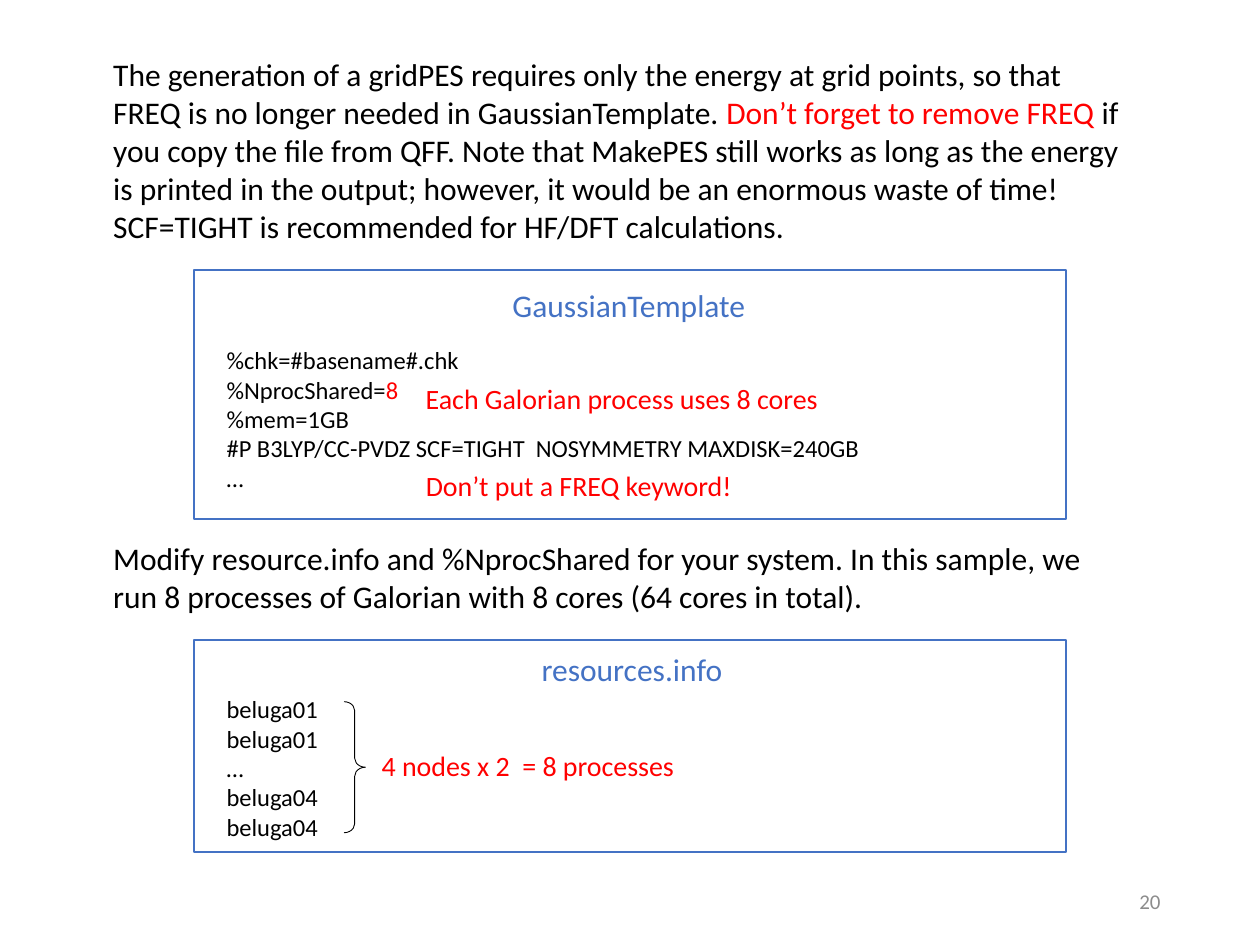
from pptx import Presentation
from pptx.dml.color import RGBColor
from pptx.enum.shapes import MSO_SHAPE
from pptx.enum.text import MSO_ANCHOR, MSO_AUTO_SIZE, PP_ALIGN
from pptx.util import Pt

HUES = {"ink": "000000", "red": "FF0000", "blue": "4472C4", "gray": "8C8C8C"}
BODY = {"size": Pt(18), "name": "Calibri"}
CODE = {"size": Pt(14), "name": "Calibri"}
NOTE = {"size": Pt(16), "name": "Calibri"}
PAGE = {"size": Pt(12), "name": "Calibri"}


def color(key):
    return RGBColor.from_string(HUES[key])


def add_text(slide, area, lines, font, hue="ink", wrap=False):
    """Add a text box; a line is a string or a list of (text, hue) runs."""
    frame = slide.shapes.add_textbox(*map(Pt, area)).text_frame
    frame.word_wrap = wrap
    frame.auto_size = MSO_AUTO_SIZE.SHAPE_TO_FIT_TEXT
    for i, line in enumerate(lines):
        para = frame.add_paragraph() if i else frame.paragraphs[0]
        runs = [(line, hue)] if isinstance(line, str) else line
        for text, tint in runs:
            run = para.add_run()
            run.text = text
            for key, value in font.items():
                setattr(run.font, key, value)
            run.font.color.rgb = color(tint)
    return frame


def add_outline(slide, kind, area, hue, width):
    shape = slide.shapes.add_shape(kind, *map(Pt, area))
    shape.shadow.inherit = False
    shape.fill.background()
    shape.line.color.rgb = color(hue)
    shape.line.width = Pt(width)
    return shape


def add_panel(slide, top, height):
    add_outline(slide, MSO_SHAPE.RECTANGLE, (110.9, top, 498.2, height), "blue", 1)


def add_template(slide):
    add_panel(slide, 154.1, 142.6)
    add_text(slide, (285.8, 159.8, 149, 29), ["GaussianTemplate"], BODY, "blue")
    add_text(slide, (122.4, 193.7, 379.4, 92.2), [
        "%chk=#basename#.chk",
        [("%NprocShared=", "ink"), ("8", "red")],
        "%mem=1GB",
        "#P B3LYP/CC-PVDZ SCF=TIGHT  NOSYMMETRY MAXDISK=240GB",
        "…",
    ], CODE)
    add_text(slide, (236.2, 214.6, 244.8, 26.6),
             ["Each Galorian process uses 8 cores"], NOTE, "red")
    add_text(slide, (236.2, 264.2, 195.8, 26.6),
             ["Don’t put a FREQ keyword!"], NOTE, "red")


def add_resources(slide):
    add_panel(slide, 365.8, 121)
    add_text(slide, (302.4, 367.9, 118.8, 29), ["resources.info"], BODY, "blue")
    add_text(slide, (122.4, 393.1, 67.7, 92.2),
             ["beluga01", "beluga01", "…", "beluga04", "beluga04"], CODE)
    brace = add_outline(slide, MSO_SHAPE.RIGHT_BRACE,
                        (196.6, 401, 12.2, 74.9), "ink", 0.5)
    brace.adjustments[0] = 0.42
    add_text(slide, (211, 424.1, 191.5, 26.6),
             ["4 nodes x 2  = 8 processes"], NOTE, "red")


def main():
    deck = Presentation()
    deck.slide_width, deck.slide_height = Pt(720), Pt(540)
    slide = deck.slides.add_slide(deck.slide_layouts[6])
    add_text(slide, (57.6, 28.1, 594, 116.6), [[
        ("The generation of a gridPES requires only the energy at grid points, "
         "so that FREQ is no longer needed in GaussianTemplate. ", "ink"),
        ("Don’t forget to remove FREQ", "red"),
        (" if you copy the file from QFF. Note that MakePES still works as long "
         "as the energy is printed in the output; however, it would be an "
         "enormous waste of time! SCF=TIGHT is recommended for HF/DFT "
         "calculations.", "ink"),
    ]], BODY, wrap=True)
    add_template(slide)
    add_text(slide, (57.6, 304.6, 594, 51), [
        "Modify resource.info and %NprocShared for your system. In this sample, "
        "we run 8 processes of Galorian with 8 cores (64 cores in total).",
    ], BODY, wrap=True)
    add_resources(slide)
    page = add_text(slide, (508.3, 500.4, 162, 28.8), ["20"], PAGE, "gray", True)
    page.auto_size = MSO_AUTO_SIZE.NONE
    page.vertical_anchor = MSO_ANCHOR.MIDDLE
    page.paragraphs[0].alignment = PP_ALIGN.RIGHT
    deck.save("out.pptx")


if __name__ == "__main__":
    main()
